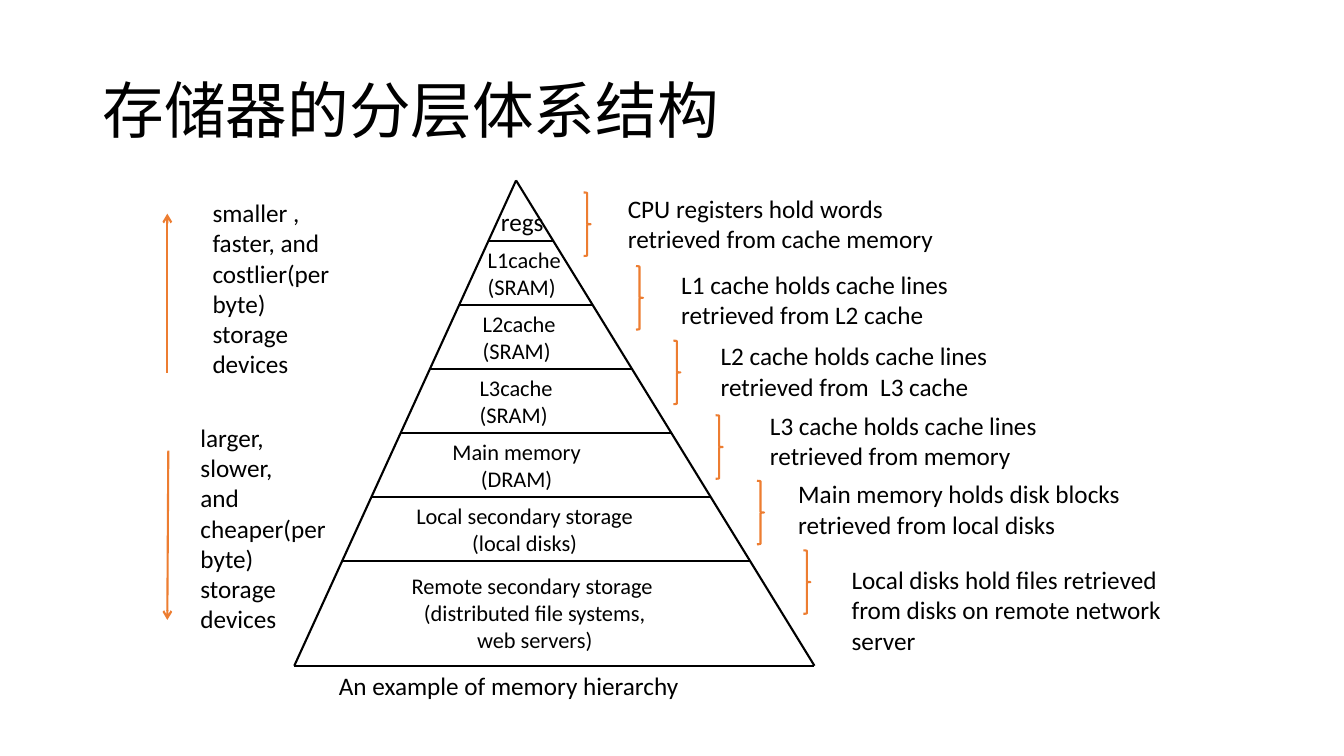
"""Builds a slide showing the memory hierarchy as a layered pyramid."""
from lxml import etree
from pptx import Presentation
from pptx import util as u
from pptx.dml.color import RGBColor
from pptx.enum import shapes, text
from pptx.oxml.ns import qn

WIDTH, HEIGHT = u.Inches(13.33), u.Inches(7.5)
COLUMN, ROW = WIDTH / 40, HEIGHT / 30
COLORS = {"ink": "000000", "accent": "ED7D31"}
LEFT, CENTER = text.PP_ALIGN.LEFT, text.PP_ALIGN.CENTER

APEX_X, APEX_Y = 15.36, 7.16
BASE_LEFT, BASE_RIGHT, BASE_Y = 8.76, 24.24, 26.42
FIRST_DIVIDER, LEVEL_ROWS = 9.56, 2.54

LEVELS = [
    (["L1cache", "(SRAM)"], 14.22, 3.15, LEFT),
    (["L2cache", "(SRAM)"], 14.07, 3.15, LEFT),
    (["L3cache", "(SRAM)"], 13.98, 3.15, LEFT),
    (["Main memory", "(DRAM)"], 12.78, 5.19, CENTER),
    (["Local secondary storage", "(local disks)"], 11.22, 8.79, CENTER),
]
NOTES = [
    ("CPU registers hold words retrieved from cache memory", 18.39, 7.48, 10.14, 2),
    ("L1 cache holds cache lines retrieved from L2 cache", 19.98, 10.48, 10.14, 2),
    ("L2 cache holds cache lines retrieved from  L3 cache", 21.15, 13.32, 8.64, 2),
    ("L3 cache holds cache lines retrieved from memory", 22.62, 16.08, 10.14, 3),
    ("Main memory holds disk blocks retrieved from local disks", 23.46, 18.8, 12.3, 2),
    ("Local disks hold files retrieved from disks on remote network server",
     25.05, 22.2, 10.14, 3),
]
BRACES = [(17.37, 7.64), (18.93, 10.56), (20.04, 13.52),
          (21.3, 16.48), (22.53, 19.08), (23.91, 21.84)]


def across(columns):
    """Convert grid columns to a length."""
    return u.Emu(round(columns * COLUMN))


def down(rows):
    """Convert grid rows to a length."""
    return u.Emu(round(rows * ROW))


def color(name):
    """Look up a palette colour."""
    return RGBColor.from_string(COLORS[name])


def add_label(slide, paragraphs, x, y, width, lines, size=18, align=LEFT):
    """Add a wrapped text box tall enough for its lines and return its frame."""
    rows = 0.4 + lines * size / 15
    label = slide.shapes.add_textbox(across(x), down(y), across(width), down(rows))
    frame = label.text_frame
    frame.word_wrap = True
    frame.text = "\n".join(paragraphs)
    for paragraph in frame.paragraphs:
        paragraph.alignment = align
        paragraph.font.size = u.Pt(size)
        paragraph.font.name = "Calibri"
        paragraph.font.color.rgb = color("ink")
    return frame


def add_line(slide, start, end, tone="ink", arrow=False):
    """Draw a straight line between two grid points."""
    line = slide.shapes.add_connector(
        shapes.MSO_CONNECTOR.STRAIGHT,
        across(start[0]), down(start[1]), across(end[0]), down(end[1]))
    line.line.color.rgb = color(tone)
    line.line.width = u.Pt(1.5)
    if arrow:
        etree.SubElement(line.line._get_or_add_ln(), qn("a:tailEnd"), type="arrow")
    etree.SubElement(line._element.spPr, qn("a:effectLst"))


def add_brace(slide, x, y):
    """Draw the right brace that ties a note to its levels."""
    brace = slide.shapes.add_shape(
        shapes.MSO_SHAPE.RIGHT_BRACE, across(x), down(y), across(0.21), down(2.52))
    brace.shadow.inherit = False
    brace.fill.background()
    brace.line.color.rgb = color("accent")
    brace.line.width = u.Pt(1.5)


def add_level_line(slide, y):
    """Draw a horizontal line from side to side of the pyramid."""
    share = (y - APEX_Y) / (BASE_Y - APEX_Y)
    left = APEX_X + share * (BASE_LEFT - APEX_X)
    right = APEX_X + share * (BASE_RIGHT - APEX_X)
    add_line(slide, (left, y), (right, y))


def add_pyramid(slide):
    """Draw the pyramid outline, its dividers and its level labels."""
    for corner in (BASE_LEFT, BASE_RIGHT):
        add_line(slide, (APEX_X, APEX_Y), (corner, BASE_Y))
    for index in range(len(LEVELS) + 1):
        add_level_line(slide, FIRST_DIVIDER + index * LEVEL_ROWS)
    add_level_line(slide, BASE_Y)

    add_label(slide, ["regs"], 14.61, 8, 2.61, 1)
    for index, (lines, x, width, align) in enumerate(LEVELS):
        y = FIRST_DIVIDER + index * LEVEL_ROWS
        add_label(slide, lines, x, y, width, len(lines), 16, align)
    add_label(slide, ["Remote secondary storage ",
                      "(distributed file systems, web servers)"],
              11.7, 22.52, 8.43, 3, 16, CENTER)


def main():
    """Build and save the slide."""
    deck = Presentation()
    deck.slide_width, deck.slide_height = WIDTH, HEIGHT
    slide = deck.slides.add_slide(deck.slide_layouts[6])

    title = add_label(slide, ["存储器的分层体系结构"], 2.76, 1.6, 34.5, 1.84, 44)
    title.vertical_anchor = text.MSO_ANCHOR.MIDDLE
    title.paragraphs[0].line_spacing = 0.9

    add_pyramid(slide)
    add_label(slide, ["An example of memory hierarchy "],
              6.54, 26.4, 17.37, 1, align=CENTER)

    add_label(slide, ["smaller ,", "faster, and", "costlier(per byte)",
                      "storage", "devices"], 6.03, 7.64, 4.89, 7)
    add_label(slide, ["larger,", "slower,", "and", "cheaper(per byte)",
                      "storage", "devices"], 5.67, 16.56, 4.71, 9)
    add_line(slide, (4.98, 14.8), (4.98, 8.48), "accent", arrow=True)
    add_line(slide, (5.01, 17.88), (4.98, 24.6), "accent", arrow=True)

    for note, x, y, width, lines in NOTES:
        add_label(slide, [note], x, y, width, lines)
    for x, y in BRACES:
        add_brace(slide, x, y)

    deck.save("out.pptx")


if __name__ == "__main__":
    main()
